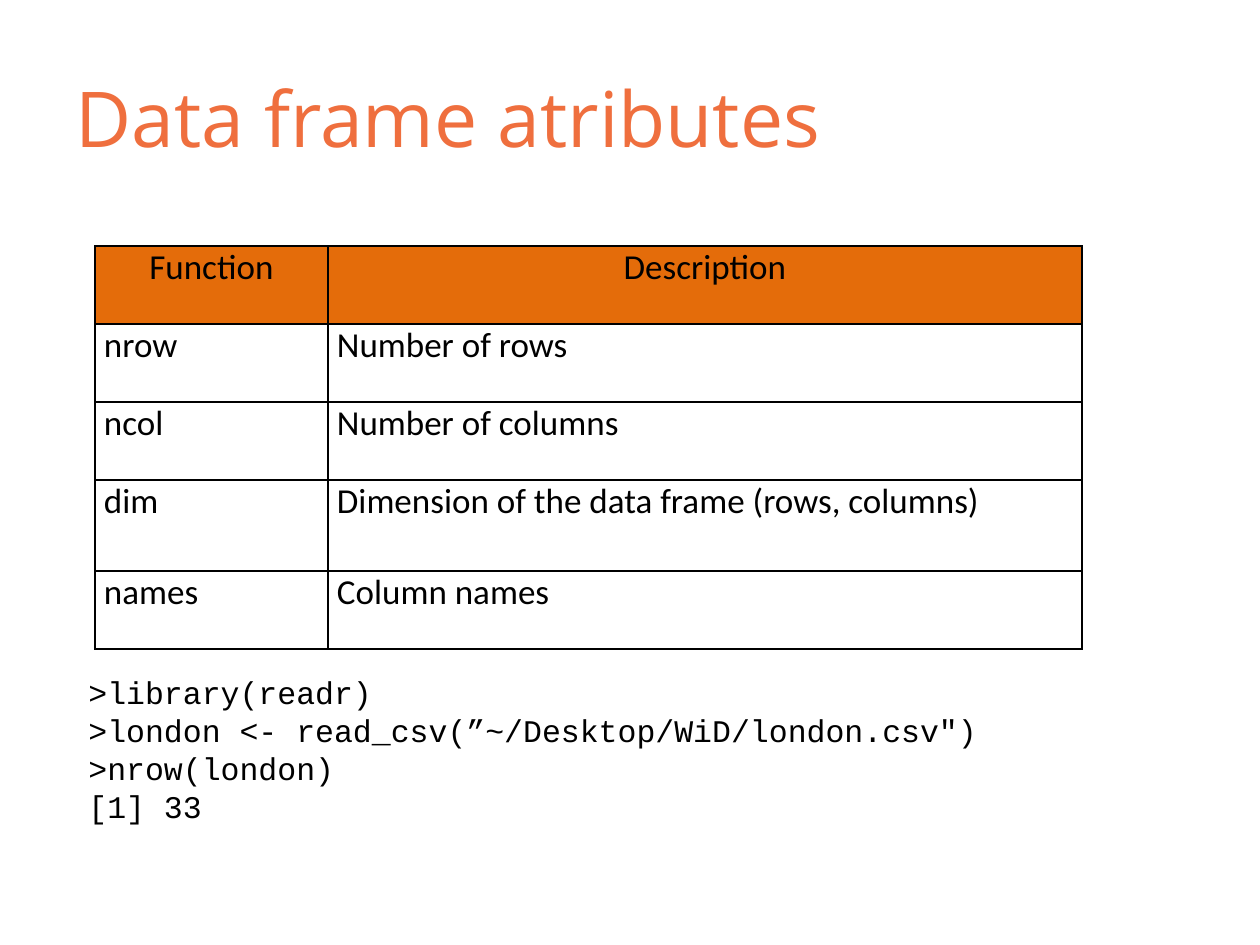
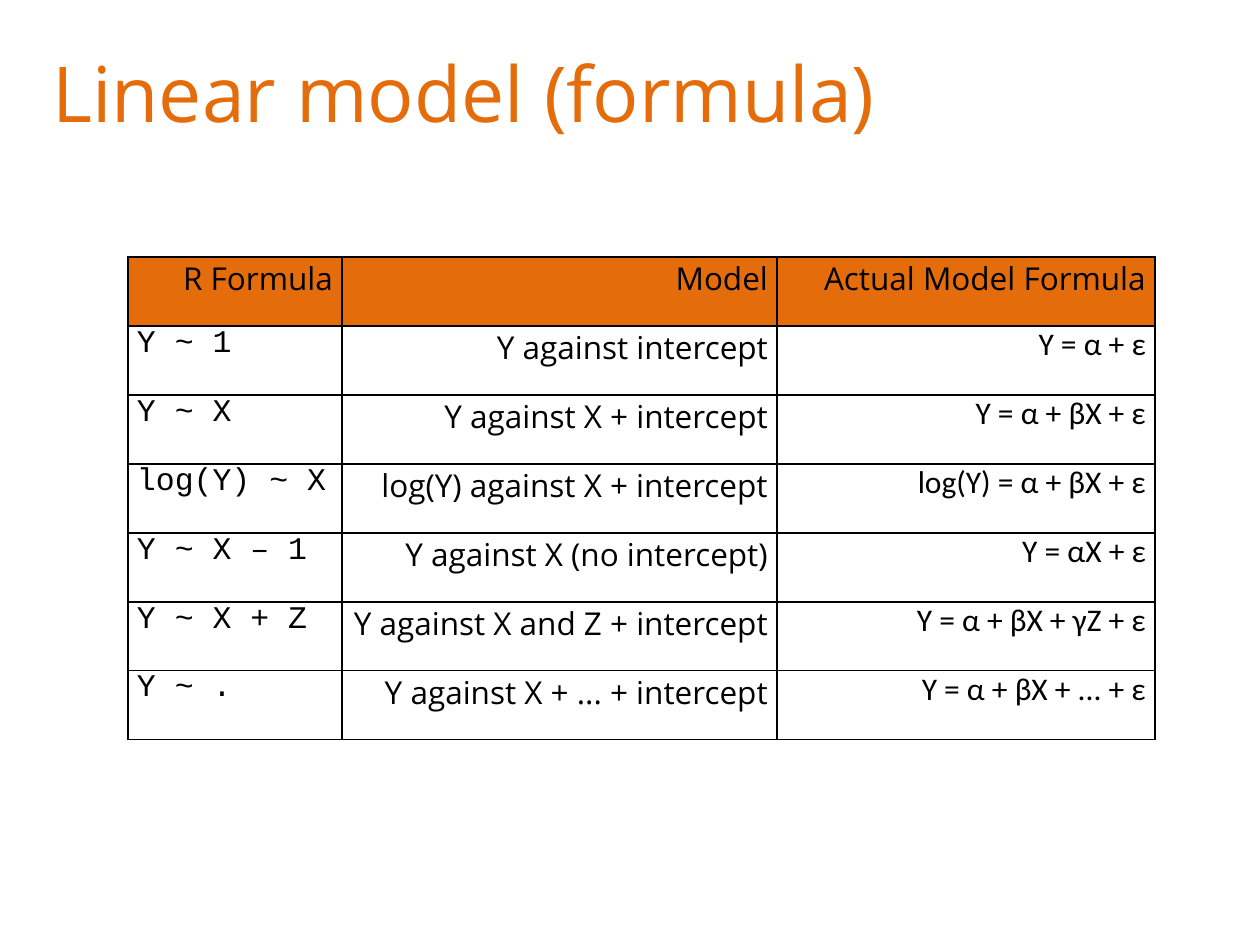
import pptx
import pptx.dml.color
import pptx.enum.text
import pptx.oxml
import pptx.oxml.ns
import pptx.util

PX = 914400 / 126
BLACK = pptx.dml.color.RGBColor(0x00, 0x00, 0x00)
ORANGE = pptx.dml.color.RGBColor(0xE4, 0x6C, 0x0A)
CORAL = pptx.dml.color.RGBColor(0xEF, 0x6F, 0x3E)
LEFT = pptx.enum.text.PP_ALIGN.LEFT
CENTER = pptx.enum.text.PP_ALIGN.CENTER
RIGHT = pptx.enum.text.PP_ALIGN.RIGHT
CELL_MARGINS = {"margin_left": 9, "margin_right": 9, "margin_top": 0, "margin_bottom": 0}
BORDER = (
    '<a:{side} {ns} w="12700"><a:solidFill><a:srgbClr val="{color}"/></a:solidFill></a:{side}>'
)


def px(n):
    return pptx.util.Emu(round(n * PX))


def write(tf, lines, size, font, color, align=LEFT):
    """Fill a text frame with one paragraph per line, all in one format."""
    for i, line in enumerate(lines):
        p = tf.paragraphs[0] if i == 0 else tf.add_paragraph()
        p.alignment = align
        r = p.add_run()
        r.text = line
        for name, value in {"size": pptx.util.Pt(size), "name": font}.items():
            setattr(r.font, name, value)
        r.font.color.rgb = color


# Each table column is (width, body font, body alignment).
slides = [
    {
        "title": "Data frame atributes",
        "title_at": (63, 38),
        "title_color": CORAL,
        "table_at": (95, 246),
        "size": 20,
        "header": ("Calibri", CENTER),
        "columns": [(233, "Calibri", LEFT), (754, "Calibri", LEFT)],
        "heights": [78, 78, 78, 91, 78],
        "rows": [
            ("Function", "Description"),
            ("nrow", "Number of rows"),
            ("ncol", "Number of columns"),
            ("dim", "Dimension of the data frame (rows, columns)"),
            ("names", "Column names"),
        ],
        "code": [
            ">library(readr)",
            '>london <- read_csv(”~/Desktop/WiD/london.csv")',
            ">nrow(london)",
            "[1] 33",
        ],
    },
    {
        "title": "Linear model (formula)",
        "title_at": (40, 13),
        "title_color": ORANGE,
        "table_at": (128, 257),
        "size": 18,
        "header": ("Open Sans", RIGHT),
        "columns": [
            (214, "Courier New", LEFT),
            (435, "Open Sans", RIGHT),
            (378, "Calibri", RIGHT),
        ],
        "heights": [69] * 7,
        "rows": [
            ("R Formula", "Model", "Actual Model Formula"),
            ("Y ~ 1", "Y against intercept", "Y = α + ε"),
            ("Y ~ X", "Y against X + intercept", "Y = α + βX + ε"),
            ("log(Y) ~ X", "log(Y) against X + intercept", "log(Y) = α + βX + ε"),
            ("Y ~ X – 1", "Y against X (no intercept)", "Y = αX + ε"),
            ("Y ~ X + Z", "Y against X and Z + intercept", "Y = α + βX + γZ + ε"),
            ("Y ~ .", "Y against X + ... + intercept", "Y = α + βX + ... + ε"),
        ],
        "code": [],
    },
]

prs = pptx.Presentation()
prs.slide_width, prs.slide_height = px(1260), px(945)

for content in slides:
    s = prs.slides.add_slide(prs.slide_layouts[6])

    left, top = content["title_at"]
    tf = s.shapes.add_textbox(px(left), px(top), px(1134), px(158)).text_frame
    tf.word_wrap = True
    tf.vertical_anchor = pptx.enum.text.MSO_ANCHOR.MIDDLE
    write(tf, [content["title"]], 44, "Open Sans", content["title_color"])

    left, top = content["table_at"]
    columns, heights, rows = content["columns"], content["heights"], content["rows"]
    width = sum(column[0] for column in columns)
    table = s.shapes.add_table(
        len(rows), len(columns), px(left), px(top), px(width), px(sum(heights))
    ).table
    table.first_row = table.horz_banding = False
    for j, column in enumerate(columns):
        table.columns[j].width = px(column[0])
    for i, row in enumerate(rows):
        table.rows[i].height = px(heights[i])
        for j, text in enumerate(row):
            cell = table.cell(i, j)
            for name, value in CELL_MARGINS.items():
                setattr(cell, name, px(value))
            tc_pr = cell._tc.get_or_add_tcPr()
            for side in ("lnL", "lnR", "lnT", "lnB"):
                xml = BORDER.format(side=side, ns=pptx.oxml.ns.nsdecls("a"), color=BLACK)
                tc_pr.append(pptx.oxml.parse_xml(xml))
            if i == 0:
                cell.fill.solid()
                cell.fill.fore_color.rgb = ORANGE
                font, align = content["header"]
            else:
                cell.fill.background()
                font, align = columns[j][1:]
            write(cell.text_frame, [text], content["size"], font, BLACK, align)

    if content["code"]:
        tf = s.shapes.add_textbox(px(76), px(667), px(939), px(165)).text_frame
        tf.word_wrap = True
        write(tf, content["code"], 18, "Courier New", BLACK)

prs.save("out.pptx")
